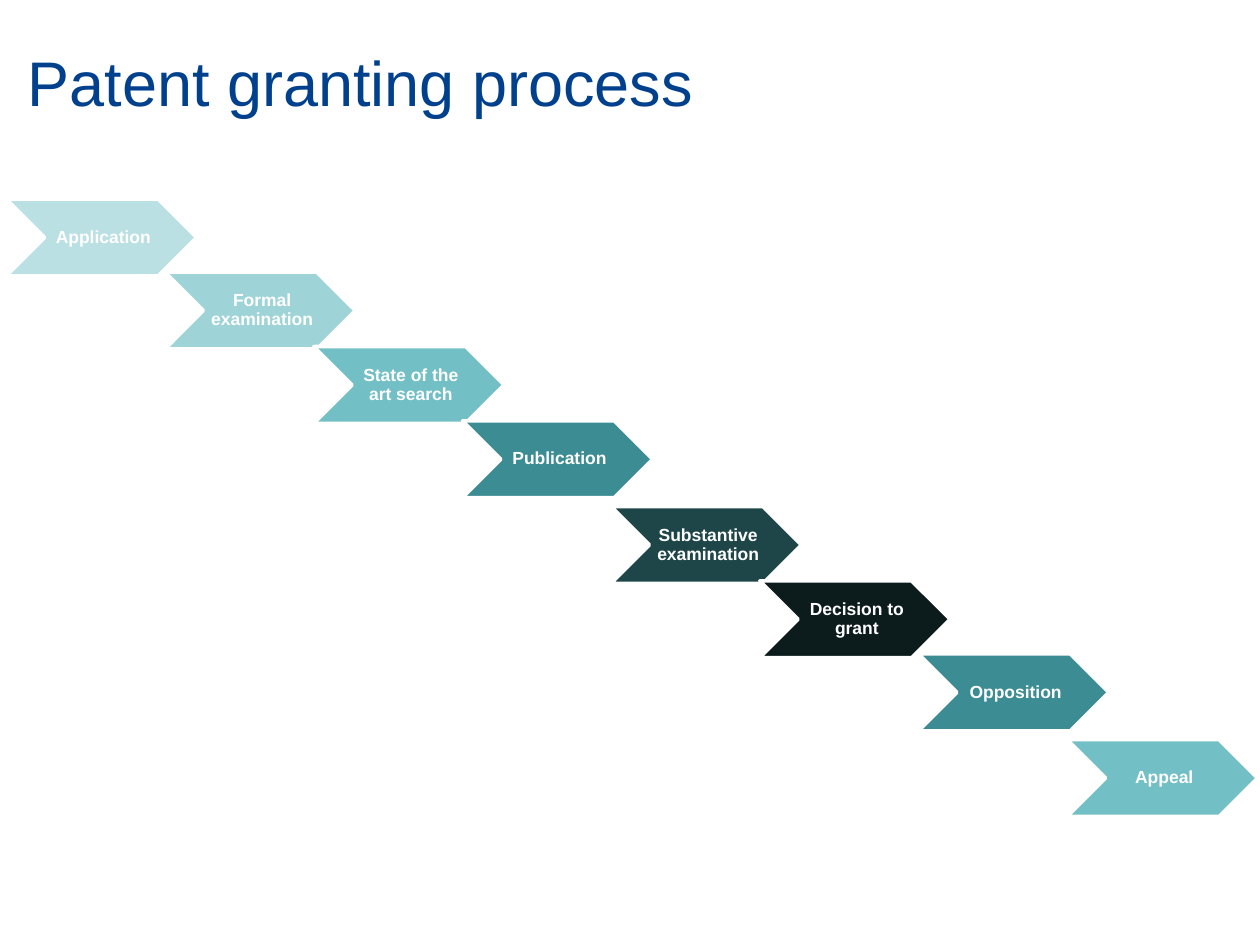
from pptx import Presentation
from pptx.dml.color import RGBColor
from pptx.enum.shapes import MSO_SHAPE
from pptx.enum.text import MSO_ANCHOR, PP_ALIGN
from pptx.util import Inches, Pt

COLORS = {
    "title": "00408C",
    "white": "FFFFFF",
    "pale": "BBE0E3",
    "light": "9ED3D7",
    "medium": "72BFC5",
    "teal": "3C8C93",
    "deep": "1E4649",
    "black": "0C1C1D",
}
FONT = "Arial"
STEP_WIDTH, STEP_HEIGHT = 1.51, 0.61
STEPS = [
    ("Application", 0.05, 1.58, "pale"),
    ("Formal examination", 1.31, 2.16, "light"),
    ("State of the art search", 2.49, 2.75, "medium"),
    ("Publication", 3.67, 3.34, "teal"),
    ("Substantive examination", 4.85, 4.02, "deep"),
    ("Decision to grant", 6.03, 4.61, "black"),
    ("Opposition", 7.29, 5.19, "teal"),
    ("Appeal", 8.47, 5.87, "medium"),
]


def color(name):
    return RGBColor.from_string(COLORS[name])


def format_text(paragraph, size, color_name, alignment, bold=False):
    paragraph.alignment = alignment
    for run in paragraph.runs:
        run.font.name = FONT
        run.font.size = Pt(size)
        run.font.bold = bold
        run.font.color.rgb = color(color_name)


def set_title(slide, wording):
    title = slide.shapes.title
    title.left, title.top = Inches(0.12), Inches(0.21)
    title.width, title.height = Inches(9), Inches(0.87)
    title.text_frame.text = wording
    title.text_frame.vertical_anchor = MSO_ANCHOR.MIDDLE
    format_text(title.text_frame.paragraphs[0], 36, "title", PP_ALIGN.LEFT)


def add_step(slide, label, left, top, fill_name):
    step = slide.shapes.add_shape(
        MSO_SHAPE.CHEVRON, Inches(left), Inches(top),
        Inches(STEP_WIDTH), Inches(STEP_HEIGHT))
    step.shadow.inherit = False
    step.fill.solid()
    step.fill.fore_color.rgb = color(fill_name)
    step.line.color.rgb = color("white")
    step.line.width = Pt(2)
    frame = step.text_frame
    frame.text = label
    frame.word_wrap = True
    frame.vertical_anchor = MSO_ANCHOR.MIDDLE
    frame.margin_left = Inches(0.04)
    frame.margin_right = frame.margin_top = frame.margin_bottom = Inches(0.01)
    paragraph = frame.paragraphs[0]
    paragraph.line_spacing = 0.9
    format_text(paragraph, 10, "white", PP_ALIGN.CENTER, bold=True)


def main():
    presentation = Presentation()
    presentation.slide_width = Inches(10)
    presentation.slide_height = Inches(7.5)
    slide = presentation.slides.add_slide(presentation.slide_layouts[5])
    set_title(slide, "Patent granting process")
    for step in STEPS:
        add_step(slide, *step)
    presentation.save("out.pptx")


if __name__ == "__main__":
    main()
